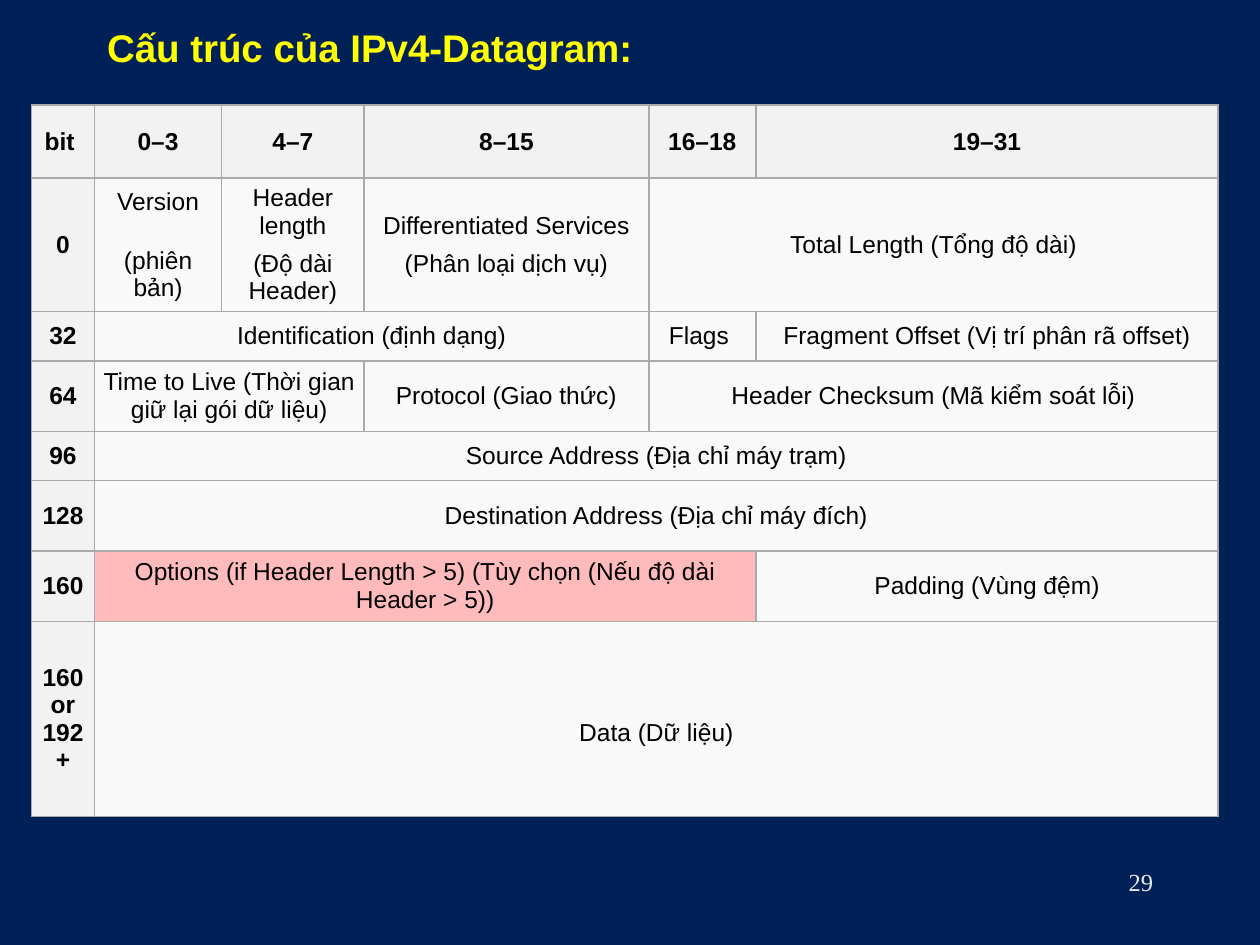
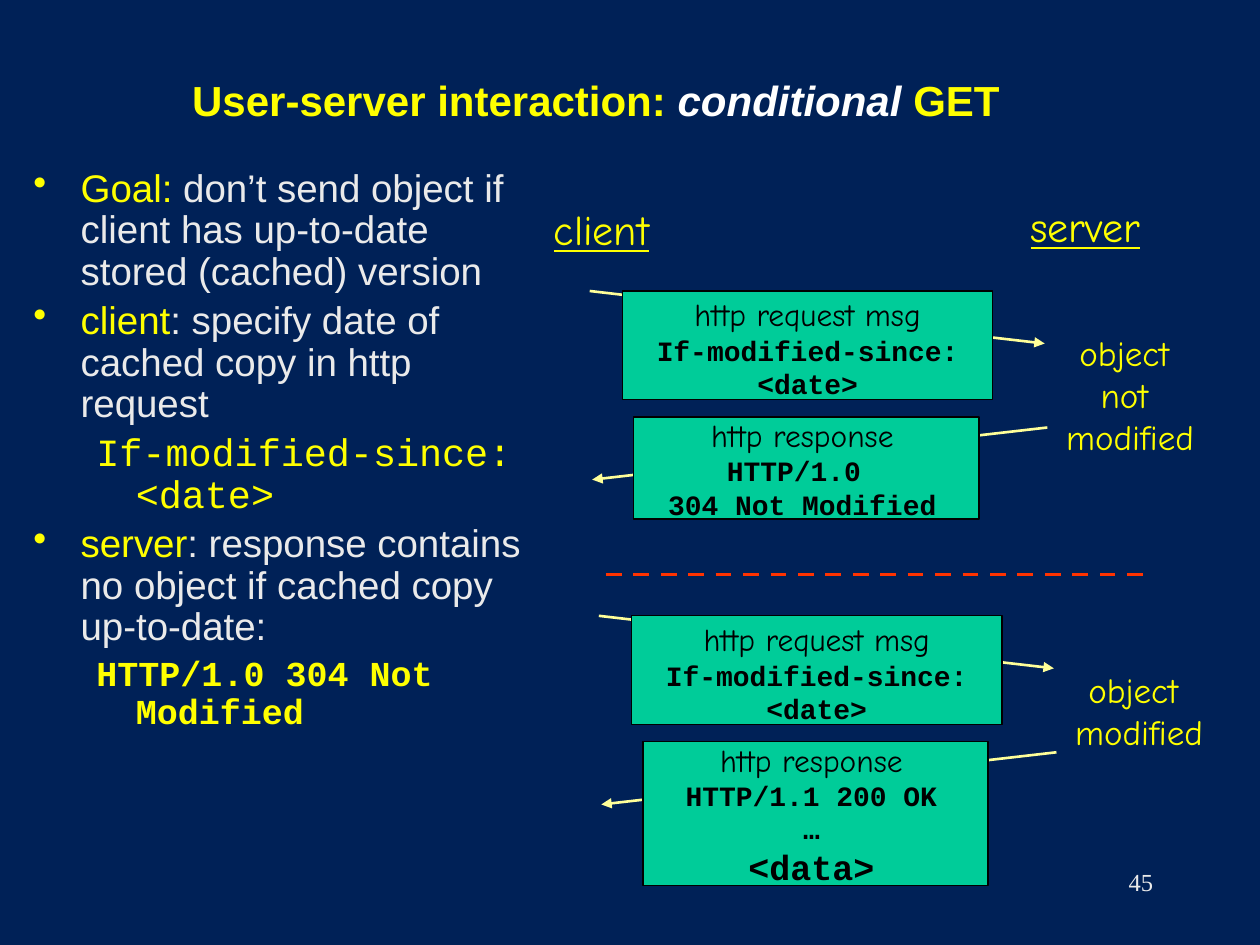
from collections import namedtuple

import pptx
import pptx.dml.color
import pptx.enum.dml
import pptx.enum.shapes
import pptx.enum.text
import pptx.oxml.ns
import pptx.util
from lxml import etree

Pt = pptx.util.Pt
Align = pptx.enum.text.PP_ALIGN
Anchor = pptx.enum.text.MSO_ANCHOR

NAVY, YELLOW, WHITE, BLACK = "002157", "FFFF00", "FFFFFF", "000000"
PALE, GREEN, ARROW, RED = "EAEAEA", "00CC99", "FFFF99", "FF3300"
GRID, HEAD, CELL, OPTION = "AAAAAA", "F2F2F2", "F9F9F9", "FFBBBB"

Style = namedtuple("Style", "font size color bold underline", defaults=(False, False))
PAGE = Style("Times New Roman", 14, PALE)
FIELD = Style("Arial", 14, BLACK)
FIELD_BOLD = FIELD._replace(bold=True)
BODY = Style("Arial", 22, PALE)
CODE = Style("Courier New", 22, YELLOW)
STATUS = CODE._replace(size=20, bold=True)
END = Style("Comic Neue", 24, YELLOW, underline=True)
OUTCOME = Style("Comic Neue", 20, YELLOW)
MSG = Style("Comic Neue", 18, BLACK)
MSG_CODE = Style("Courier New", 16, BLACK, bold=True)
MSG_DATA = MSG_CODE._replace(size=20)


def rgb(value):
    return pptx.dml.color.RGBColor.from_string(value)


def sub(parent, tag, **attrs):
    return etree.SubElement(parent, pptx.oxml.ns.qn(tag), attrs)


class Deck:
    def __init__(self):
        self.prs = pptx.Presentation()
        self.prs.slide_width, self.prs.slide_height = Pt(720), Pt(540)
        fill = self.prs.slide_master.background.fill
        fill.solid()
        fill.fore_color.rgb = rgb(NAVY)

    def slide(self, number):
        self.s = self.prs.slides.add_slide(self.prs.slide_layouts[5])
        self.text(516, 492, 150, 36, [(PAGE, number)], align=Align.RIGHT)

    def set_lines(self, tf, lines, align=None):
        """Fill a text frame with (style, text or (text, colour) runs) lines."""
        for i, (style, content) in enumerate(lines):
            p = tf.paragraphs[0] if i == 0 else tf.add_paragraph()
            p.alignment = align
            f = p.font
            f.name, f.size, f.bold = style.font, Pt(style.size), style.bold
            if style.underline:
                f.underline = True
            if isinstance(content, str):
                f.color.rgb = rgb(style.color)
                p.text = content
                continue
            for text, color in content:
                r = p.add_run()
                r.text = text
                r.font.color.rgb = rgb(color)

    def title(self, x, y, w, h, size, runs, align):
        sp = self.s.shapes.title
        sp.left, sp.top, sp.width, sp.height = map(Pt, (x, y, w, h))
        tf = sp.text_frame
        tf.auto_size = pptx.enum.text.MSO_AUTO_SIZE.NONE
        tf.vertical_anchor = Anchor.MIDDLE
        self.set_lines(tf, [(Style("Arial", size, YELLOW, bold=True), runs)], align)
        return tf.paragraphs[0]

    def text(self, x, y, w, h, lines, align=Align.CENTER, wrap=True):
        tf = self.s.shapes.add_textbox(*map(Pt, (x, y, w, h))).text_frame
        tf.word_wrap = wrap
        self.set_lines(tf, lines, align)
        return tf

    def bullets(self, x, y, w, h, lines):
        """Set mixed-run lines as bullets and plain lines as indented code."""
        tf = self.text(x, y, w, h, lines, Align.LEFT)
        for p, (style, content) in zip(tf.paragraphs, lines):
            p.line_spacing = 0.9
            p.space_before = Pt(style.size * 0.2)
            is_code = isinstance(content, str)
            margin, hang = (58.5, 22.5) if is_code else (27, 27)
            pPr = p._p.get_or_add_pPr()
            pPr.set("marL", str(Pt(margin)))
            pPr.set("indent", str(-Pt(hang)))
            if not is_code:
                bullet = etree.Element(pptx.oxml.ns.qn("a:buChar"), char="•")
                pPr.find(pptx.oxml.ns.qn("a:defRPr")).addprevious(bullet)

    def box(self, x, y, w, h):
        kind = pptx.enum.shapes.MSO_SHAPE.RECTANGLE
        sp = self.s.shapes.add_shape(kind, *map(Pt, (x, y, w, h)))
        sp.shadow.inherit = False
        sp.fill.solid()
        sp.fill.fore_color.rgb = rgb(GREEN)
        sp.line.color.rgb = rgb(BLACK)
        sp.line.width = Pt(0.75)

    def line(self, x1, y1, x2, y2, color, width, dashed=False):
        """Draw a dashed line, or a solid one with an arrowhead at its end."""
        kind = pptx.enum.shapes.MSO_CONNECTOR.STRAIGHT
        c = self.s.shapes.add_connector(kind, *map(Pt, (x1, y1, x2, y2)))
        c.line.color.rgb = rgb(color)
        c.line.width = Pt(width)
        spPr = c._element.spPr
        if dashed:
            c.line.dash_style = pptx.enum.dml.MSO_LINE.DASH
        else:
            sub(spPr.find(pptx.oxml.ns.qn("a:ln")), "a:tailEnd", type="triangle")
        sub(spPr, "a:effectLst")

    def exchange(self, x, y, response, response_h):
        """Draw a request arrow and its response arrow, each under its message."""
        self.line(x, y, x + 260, y + 30, ARROW, 1.5)
        self.box(x + 18.7, y, 211.7, 62)
        self.text(x + 19, y - 1, 211, 67.7,
                  [(MSG, "http request msg"), (MSG_CODE, "If-modified-since: <date>")])
        self.line(x + 261.5, y + 78, x + 1.4, y + 107.8, ARROW, 1.5)
        self.box(x + 25.2, y + 72, 197.3, response_h)
        self.text(x + 17.5, y + 67.7, 208, response_h + 9.3,
                  [(MSG, "http response")] + response)

    def cell(self, cell, lines, fill):
        cell.fill.solid()
        cell.fill.fore_color.rgb = rgb(fill)
        cell.vertical_anchor = Anchor.MIDDLE
        cell.margin_left = cell.margin_right = Pt(3.6)
        cell.margin_top = cell.margin_bottom = Pt(1.5)
        self.set_lines(cell.text_frame, lines, Align.CENTER)

    def borders(self, cell):
        tcPr = cell._tc.get_or_add_tcPr()
        for i, side in enumerate(("a:lnL", "a:lnR", "a:lnT", "a:lnB")):
            ln = etree.Element(pptx.oxml.ns.qn(side), w=str(Pt(1)))
            sub(sub(ln, "a:solidFill"), "a:srgbClr", val=GRID)
            tcPr.insert(i, ln)

    def table(self, x, y, widths, heights, rows):
        """Build a table from rows of (text, columns spanned) pairs."""
        frame = self.s.shapes.add_table(len(heights), len(widths), Pt(x), Pt(y),
                                        Pt(sum(widths)), Pt(sum(heights)))
        t = frame.table
        t.first_row = t.horz_banding = False
        for col, w in zip(t.columns, widths):
            col.width = Pt(w)
        for row, h in zip(t.rows, heights):
            row.height = Pt(h)
        for i, row in enumerate(rows):
            j = 0
            for text, span in row:
                cell = t.cell(i, j)
                if span > 1:
                    cell.merge(t.cell(i, j + span - 1))
                is_head = i == 0 or j == 0
                style = FIELD_BOLD if is_head else FIELD
                fill = HEAD if is_head else OPTION if text.startswith("Options") else CELL
                self.cell(cell, [(style, part) for part in text.split("\n")], fill)
                j += span
        for cell in t.iter_cells():
            self.borders(cell)
        return t


def datagram_slide(deck):
    deck.slide("29")
    deck.title(54, 0, 612, 54, 22, "Cấu trúc của IPv4-Datagram:", Align.LEFT)
    rows = [
        [("bit ", 1), ("0–3", 1), ("4–7", 1), ("8–15", 1), ("16–18", 1), ("19–31", 1)],
        [("0", 1), ("Version\n(phiên bản)", 1), ("Header length\n(Độ dài Header)", 1),
         ("Differentiated Services\n(Phân loại dịch vụ)", 1),
         ("Total Length (Tổng độ dài)", 2)],
        [("32", 1), ("Identification (định dạng)", 3), ("Flags ", 1),
         ("Fragment Offset (Vị trí phân rã offset)", 1)],
        [("64", 1), ("Time to Live (Thời gian giữ lại gói dữ liệu)", 2),
         ("Protocol (Giao thức)", 1), ("Header Checksum (Mã kiểm soát lỗi)", 2)],
        [("96", 1), ("Source Address (Địa chỉ máy trạm)", 5)],
        [("128", 1), ("Destination Address (Địa chỉ máy đích)", 5)],
        [("160", 1),
         ("Options (if Header Length > 5) (Tùy chọn (Nếu độ dài Header > 5))", 4),
         ("Padding (Vùng đệm)", 1)],
        [("160\nor\n192+", 1), ("Data (Dữ liệu)", 5)],
    ]
    t = deck.table(18, 60, [36, 72.7, 81.4, 162.7, 61.2, 264.2],
                   [41.8, 76.3, 28.1, 40.3, 28.1, 40.3, 40.3, 111.6], rows)
    for j in (1, 2, 3):
        name, translation = t.cell(1, j).text_frame.paragraphs
        name.space_after = Pt(12 if j == 1 else 0)
        translation.space_before = Pt(6)
    t.cell(7, 1).margin_top = Pt(17.5)


def conditional_get_slide(deck):
    deck.slide("45")
    p = deck.title(27, 18, 627, 78, 24,
                   [("User-server interaction: ", YELLOW), ("conditional", WHITE),
                    (" GET", YELLOW)], Align.CENTER)
    p.runs[1].font.italic = True
    deck.bullets(12, 93, 306, 339, [
        (BODY, [("Goal:", YELLOW),
                (" don’t send object if client has up-to-date stored (cached) version", PALE)]),
        (BODY, [("client", YELLOW), (": specify date of cached copy in http request", PALE)]),
        (CODE, "If-modified-since: <date>"),
        (BODY, [("server", YELLOW),
                (": response contains no object if cached copy up-to-date:", PALE)]),
        (STATUS, "HTTP/1.0 304 Not Modified"),
    ])
    deck.text(305.3, 113, 77, 36, [(END, "client")], wrap=False)
    deck.text(576.7, 111, 87, 36, [(END, "server")], wrap=False)

    deck.exchange(337, 166.3, [(MSG_CODE, "HTTP/1.0 "), (MSG_CODE, "304 Not Modified")], 58.3)
    deck.text(597.6, 185.8, 96.5, 79.2,
              [(OUTCOME, word) for word in ("object ", "not ", "modified")], wrap=False)
    deck.line(346.3, 328.3, 653.8, 328.3, RED, 2.25, dashed=True)
    deck.exchange(342.2, 351.9, [(MSG_CODE, "HTTP/1.1 200 OK"), (MSG_CODE, "…"),
                                 (MSG_DATA, "<data>")], 82)
    deck.text(602.7, 378.7, 96.5, 55.4,
              [(OUTCOME, word) for word in ("object ", "modified")], wrap=False)


def main():
    deck = Deck()
    datagram_slide(deck)
    conditional_get_slide(deck)
    deck.prs.save("out.pptx")


if __name__ == "__main__":
    main()
